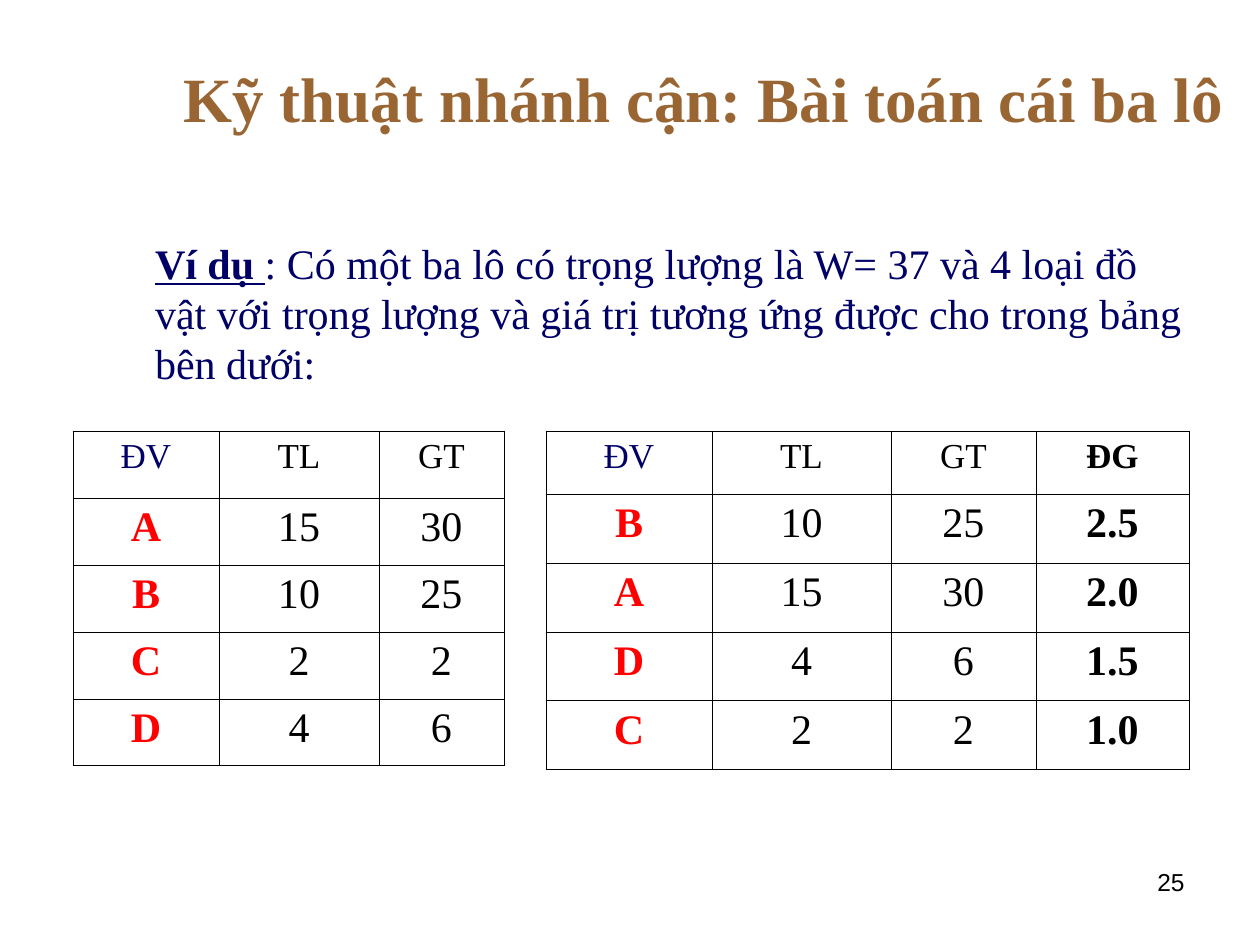
"""Build the knapsack branch-and-bound example slide."""
from lxml import etree
from pptx import Presentation
from pptx.dml.color import RGBColor
from pptx.enum.text import MSO_ANCHOR, MSO_AUTO_SIZE, PP_ALIGN
from pptx.oxml.ns import qn
from pptx.util import Pt

PX = 914400 / 126
TITLE_ONLY = 5
LEFT, CENTER, RIGHT = PP_ALIGN.LEFT, PP_ALIGN.CENTER, PP_ALIGN.RIGHT
MIDDLE = MSO_ANCHOR.MIDDLE
NO_FIT = MSO_AUTO_SIZE.NONE
COLORS = {"title": "996633", "navy": "000066", "item": "FF0000", "black": "000000"}
SERIF, SANS = "Times New Roman", "Arial"


def px(length):
    return round(length * PX)


class SlideBuilder:
    def __init__(self, page):
        self.page = page

    def style(self, para, size, color, bold=None, name=SERIF, align=CENTER):
        para.alignment = align
        font = para.font
        font.name, font.size, font.bold = name, Pt(size), bold
        font.color.rgb = RGBColor.from_string(COLORS[color])

    def title(self, text, left, top, width, height):
        box = self.page.shapes.title
        box.left, box.top, box.width, box.height = map(px, (left, top, width, height))
        frame = box.text_frame
        frame.text = text
        frame.auto_size, frame.vertical_anchor = NO_FIT, MIDDLE
        self.style(frame.paragraphs[0], 36, "title", True)

    def text(self, left, top, width, height, inset=13):
        box = self.page.shapes.add_textbox(*map(px, (left, top, width, height)))
        frame = box.text_frame
        frame.word_wrap, frame.margin_left = True, px(inset)
        return frame.paragraphs[0]

    def example(self, label, text, *place):
        para = self.text(*place, inset=60)
        span = para.add_run()
        span.text = label
        span.font.bold = span.font.underline = True
        para.add_run().text = text
        self.style(para, 24, "navy", align=LEFT)

    def number(self, text, *place):
        para = self.text(*place)
        para.text = text
        self.style(para, 14, "black", name=SANS, align=RIGHT)

    def border(self, cell):
        properties = cell._tc.get_or_add_tcPr()
        for side in ("a:lnL", "a:lnR", "a:lnT", "a:lnB"):
            line = etree.SubElement(properties, qn(side), w=str(Pt(0.45)))
            fill = etree.SubElement(line, qn("a:solidFill"))
            etree.SubElement(fill, qn("a:srgbClr"), val=COLORS["black"])

    def table(self, left, top, widths, heights, rows):
        place = map(px, (left, top, sum(widths), sum(heights)))
        table = self.page.shapes.add_table(len(rows), len(widths), *place).table
        table.first_row = table.horz_banding = False
        for column, width in zip(table.columns, widths):
            column.width = px(width)
        for row, height in zip(table.rows, heights):
            row.height = px(height)
        for r, values in enumerate(rows):
            for c, value in enumerate(values):
                cell = table.cell(r, c)
                cell.text = value
                self.border(cell)
                cell.fill.background()
                color = "black" if c else "item" if r else "navy"
                bold = c == 3 or (c == 0 and r > 0)
                self.style(cell.text_frame.paragraphs[0], 24 if r else 20, color, bold)


def main():
    deck = Presentation()
    deck.slide_width, deck.slide_height = px(1260), px(945)
    slide = SlideBuilder(deck.slides.add_slide(deck.slide_layouts[TITLE_ONLY]))
    slide.title("Kỹ thuật nhánh cận: Bài toán cái ba lô", 168, 32, 1071, 130)
    slide.example(
        "Ví dụ ",
        ": Có một ba lô có trọng lượng là W= 37 và 4 loại đồ vật với trọng lượng "
        "và giá trị tương ứng được cho trong bảng bên dưới:",
        95, 231, 1102, 165)
    items = {"A": ("15", "30"), "B": ("10", "25"), "C": ("2", "2"), "D": ("4", "6")}
    unit_values = {"B": "2.5", "A": "2.0", "D": "1.5", "C": "1.0"}
    header = ("ĐV", "TL", "GT")
    slide.table(73, 431, (146, 160, 125), [67] * 5,
                [header] + [(name, *values) for name, values in items.items()])
    slide.table(546, 431, (166, 179, 145, 153), [63] + [69] * 4,
                [(*header, "ĐG")]
                + [(name, *items[name], unit) for name, unit in unit_values.items()])
    slide.number("25", 903, 861, 294, 66)
    deck.save("out.pptx")


if __name__ == "__main__":
    main()
